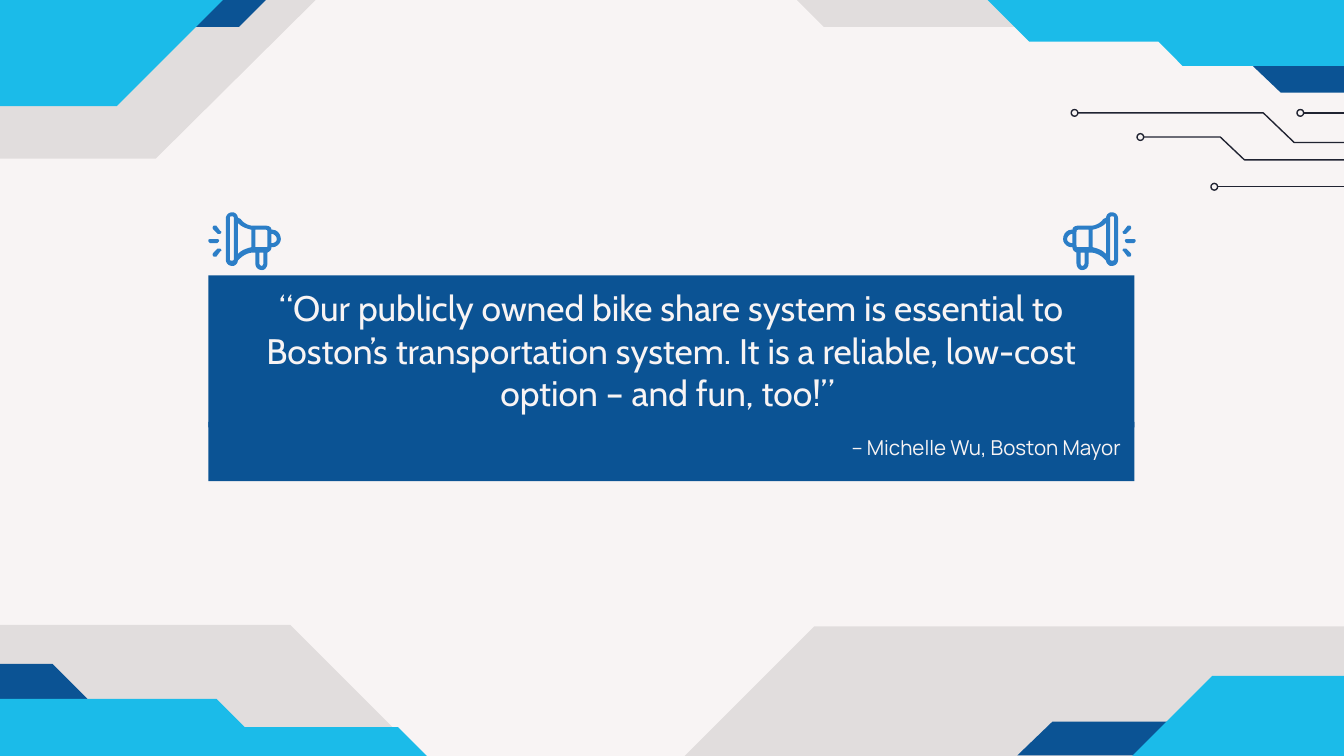
from pptx import Presentation
from pptx.util import Inches, Pt
from pptx.dml.color import RGBColor
from pptx.enum.shapes import MSO_SHAPE as Shape, MSO_CONNECTOR as Link
from pptx.enum.text import PP_ALIGN as Align, MSO_ANCHOR as Anchor
from pptx.oxml.ns import qn
from lxml.etree import SubElement

PALE, NAVY, CYAN = "F8F4F4", "0B5394", "1BBBE9"
INK, ICON = "202331", "2C7EC7"

# Corner bands: fill, then outline points in inches
BANDS = [
    ("shade", [(0, 1.18), (0, -0.08), (2.44, -0.09), (1.16, 1.18)]),
    ("shade", [(2.16, 4.65), (3.28, 5.77), (4.95, 5.77), (6.06, 4.66),
               (10.17, 4.66), (10.17, 6.74), (0, 6.74), (0, 4.65)]),
    ("shade", [(7.97, 0.2), (7.97, -1.8), (4.12, -1.81), (6.13, 0.2)]),
    (NAVY, [(1.98, 0), (1.78, 0.2), (0.88, 0.2), (1.08, 0)]),
    (NAVY, [(9.32, 0.49), (9.53, 0.69), (10.43, 0.69), (10.23, 0.49)]),
    (NAVY, [(8.92, 5.37), (8.67, 5.62), (7.57, 5.62), (7.83, 5.37)]),
    (NAVY, [(-0.7, 4.94), (-0.45, 5.2), (0.65, 5.2), (0.39, 4.94)]),
    (CYAN, [(10.17, 0.49), (10.17, -1.43), (6.91, -1.43), (6.91, -0.03),
            (7.32, -0.03), (7.66, 0.31), (8.62, 0.31), (8.8, 0.49)]),
    (CYAN, [(0, 5.2), (0, 7.47), (3.85, 7.47), (3.85, 5.81), (3.36, 5.81),
            (2.96, 5.41), (1.82, 5.41), (1.61, 5.2)]),
    (CYAN, [(0.87, 0.79), (1.99, -0.33), (2.31, -0.33), (2.31, -0.89),
            (-0.75, -0.89), (-0.75, 0.79)]),
    (CYAN, [(9.02, 5.03), (7.9, 6.15), (7.57, 6.15), (7.57, 6.72),
            (10.64, 6.72), (10.64, 5.03)]),
]

# Megaphone outlines in hundredths of an inch: pairs are corners, sixes are curves
SIDE = [(6, 20), (7, 20, 8, 20, 8, 21), (8, 22, 7, 23, 6, 23), (2, 23),
        (1, 23, 0, 22, 0, 21), (0, 20, 1, 20, 2, 20)]
LOW = [(8, 27), (9, 27, 9, 27, 9, 27), (10, 28, 10, 29, 9, 29), (6, 33),
       (6, 33, 5, 33, 5, 33), (5, 33, 4, 33, 4, 33), (3, 32, 3, 31, 4, 30), (7, 27)]
HORN = [
    [(47, 16), (47, 23), (49, 23, 51, 22, 51, 20), (51, 18, 49, 16, 47, 16)],
    [(35, 13), (35, 26), (43, 26), (44, 26, 44, 26, 44, 24), (44, 15),
     (44, 14, 44, 13, 43, 13)],
    [(22, 8), (22, 31), (25, 28, 28, 27, 32, 26), (32, 13), (28, 12, 25, 11, 22, 8)],
    [(17, 3), (17, 3, 16, 3, 16, 4), (16, 35), (16, 36, 17, 36, 17, 36),
     (18, 36, 19, 36, 19, 35), (19, 4), (19, 3, 18, 3, 17, 3)],
    [(38, 30), (38, 38), (38, 39, 39, 40, 40, 40), (40, 40, 41, 39, 41, 38), (41, 30)],
    [(18, 0), (20, 0, 22, 2, 22, 4), (24, 5), (26, 8, 30, 10, 33, 10), (43, 10),
     (45, 10, 47, 11, 47, 13), (48, 13), (51, 13, 54, 16, 54, 20),
     (54, 23, 51, 26, 48, 26), (47, 26), (47, 28, 46, 29, 44, 30), (44, 38),
     (44, 41, 42, 43, 40, 43), (37, 43, 35, 41, 35, 38), (35, 30), (33, 30),
     (30, 30, 26, 32, 24, 34), (22, 36), (22, 38, 20, 40, 18, 40),
     (15, 40, 13, 38, 13, 35), (13, 5), (13, 2, 15, 0, 18, 0)],
]


def color(code):
    return RGBColor.from_string(code)


def paint(shape, fill=None, line=None):
    shape.shadow.inherit = False
    if fill:
        shape.fill.solid()
        shape.fill.fore_color.rgb = color(fill)
    else:
        shape.fill.background()
    if line:
        shape.line.color.rgb = color(line)
        shape.line.width = Pt(0.75)
    else:
        shape.line.fill.background()


def outline(slide, loops, close=True):
    """One freeform from one or more loops of points in inches."""
    form = None
    for loop in loops:
        first, *rest = [(Inches(x), Inches(y)) for x, y in loop]
        if form is None:
            form = slide.shapes.build_freeform(*first)
        else:
            form.move_to(*first)
        form.add_line_segments(rest, close=close)
    return form.convert_to_shape()


def bend(loop, steps=5):
    """Turn the curves of a loop into short straight steps."""
    dots = [loop[0]]
    for part in loop[1:]:
        if len(part) == 2:
            dots.append(part)
            continue
        ctrl = [dots[-1], part[:2], part[2:4], part[4:]]
        for i in range(1, steps + 1):
            t = i / steps
            mix = ((1 - t) ** 3, 3 * t * (1 - t) ** 2, 3 * t * t * (1 - t), t ** 3)
            dots.append(tuple(sum(m * c[k] for m, c in zip(mix, ctrl)) for k in (0, 1)))
    return dots


def bands(slide, left, top):
    for fill, dots in BANDS:
        shape = outline(slide, [[(left + x, top + y) for x, y in dots]])
        if fill == "shade":
            paint(shape, "000000")
            tint = shape._element.spPr.find(qn("a:solidFill"))[0]
            SubElement(tint, qn("a:alpha"), val="9000")
        else:
            paint(shape, fill)


def circuit(slide, left, top):
    size = 0.05

    def node(x, y):
        dot = slide.shapes.add_shape(Shape.OVAL, Inches(left + x), Inches(top + y - size / 2),
                                     Inches(size), Inches(size))
        paint(dot, line=INK)

    # Bent tracks
    for track in ([(0.05, 0.02), (1.43, 0.02), (1.66, 0.24), (3.15, 0.24)],
                  [(0.54, 0.2), (1.11, 0.2), (1.29, 0.37), (3.15, 0.37)]):
        shape = outline(slide, [[(left + x, top + y) for x, y in track]], close=False)
        paint(shape, line=INK)
        node(track[0][0] - size, track[0][1])
    # Straight tracks
    for x, y, end in ((1.09, 0.57, 4.48), (1.73, 0.02, 4.98)):
        wire = slide.shapes.add_connector(Link.STRAIGHT, Inches(left + end), Inches(top + y),
                                          Inches(left + x), Inches(top + y))
        wire.line.color.rgb = color(INK)
        wire.line.width = Pt(0.75)
        SubElement(wire._element.spPr, qn("a:effectLst"))
        node(x - size, y)


def horn(slide, left, top, wide=0.54, flip=False):
    low = bend(LOW)
    high = [(x, 43 - y) for x, y in low]
    for loops in ([bend(SIDE)], [low], [high], [bend(loop) for loop in HORN]):
        spots = [[(left + (wide - x / 100 if flip else x / 100), top + y / 100)
                  for x, y in loop] for loop in loops]
        paint(outline(slide, spots), ICON)


def panel(slide, box, text, size, font, align, anchor):
    shape = slide.shapes.add_shape(Shape.RECTANGLE, *map(Inches, box))
    paint(shape, NAVY)
    frame = shape.text_frame
    frame.word_wrap = True
    frame.vertical_anchor = anchor
    frame.margin_left = frame.margin_right = Inches(0.1)
    frame.margin_top = frame.margin_bottom = Inches(0.1)
    para = frame.paragraphs[0]
    para.alignment = align
    run = para.add_run()
    run.text = text
    run.font.size, run.font.name = Pt(size), font
    run.font.color.rgb = color(PALE)


def quote(slide, left, top, wide):
    panel(slide, (left, top, wide, 1.13),
          "“Our publicly owned bike share system is essential to Boston’s transportation "
          "system. It is a reliable, low-cost option – and fun, too!” ",
          19, "Cabin", Align.CENTER, Anchor.BOTTOM)
    panel(slide, (left, top + 1.09, wide, 0.44), "– Michelle Wu, Boston Mayor",
          11, "Manrope", Align.RIGHT, Anchor.TOP)


def main():
    deck = Presentation()
    deck.slide_width = Inches(10)
    deck.slide_height = deck.slide_width * 9 // 16
    slide = deck.slides.add_slide(deck.slide_layouts[6])
    slide.background.fill.solid()
    slide.background.fill.fore_color.rgb = color(PALE)

    bands(slide, 0, 0)
    quote(slide, 1.55, 2.05, 6.89)
    circuit(slide, 7.97, 0.82)
    # Megaphones facing outwards above the quote
    horn(slide, 7.91, 1.58, flip=True)
    horn(slide, 1.55, 1.58)
    deck.save("out.pptx")


if __name__ == "__main__":
    main()
